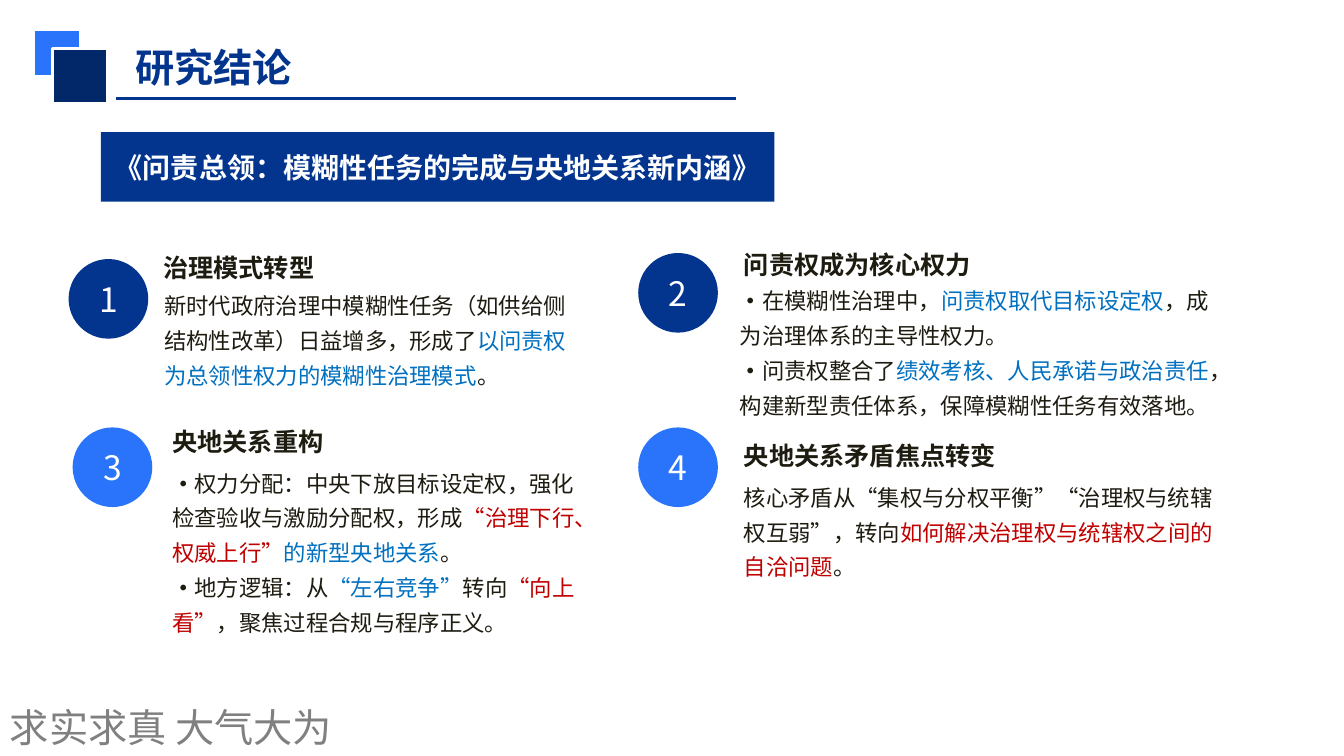
from lxml import etree
from pptx import Presentation
from pptx.dml.color import RGBColor
from pptx.enum import lang, shapes, text
from pptx.oxml import ns
from pptx.util import Inches, Pt

FONT = "Noto Sans CJK SC"
COLORS = {"navy": "03358E", "bright": "2974FA", "deep": "02286A", "white": "FFFFFF",
          "ink": "1E1C11", "blue": "0070C0", "red": "C00000", "gray": "808080"}

TITLE = "研究结论"
PAPER = "《问责总领：模糊性任务的完成与央地关系新内涵》"
MOTTO = "求实求真 大气大为"
# Each paragraph is a list of (text, color) parts
CONCLUSIONS = [
    {"heading": "治理模式转型", "color": "navy",
     "badge": (0.68, 2.57), "heading_at": (1.52, 2.35), "body_at": (1.53, 2.77, 4.36, 1.15),
     "body": [[("新时代政府治理中模糊性任务（如供给侧结构性改革）日益增多，形成了", "ink"),
               ("以问责权为总领性权力的模糊性治理模式", "blue"), ("。", "ink")]]},
    {"heading": "问责权成为核心权力", "color": "navy",
     "badge": (6.33, 2.51), "heading_at": (7.28, 2.32), "body_at": (7.24, 2.72, 4.92, 1.5),
     "body": [[("·", "ink"), ("在模糊性治理中，", "ink"), ("问责权取代目标设定权", "blue"),
               ("，成为治理体系的主导性权力。", "ink")],
              [("·", "ink"), ("问责权整合了", "ink"), ("绩效考核、人民承诺与政治责任", "blue"),
               ("，构建新型责任体系，保障模糊性任务有效落地。", "ink")]]},
    {"heading": "央地关系重构", "color": "bright",
     "badge": (0.72, 4.24), "heading_at": (1.61, 4.08), "body_at": (1.61, 4.53, 4.33, 1.85),
     "body": [[("·", "ink"), ("权力分配：中央下放目标设定权，强化检查验收与激励分配权，形成", "ink"),
               ("“治理下行、权威上行”", "red"), ("的新型央地关系", "blue"), ("。", "ink")],
              [("·", "ink"), ("地方逻辑：从", "ink"), ("“左右竞争”", "blue"), ("转向", "ink"),
               ("“向上看”", "red"), ("，聚焦过程合规与程序正义。", "ink")]]},
    {"heading": "央地关系矛盾焦点转变", "color": "bright",
     "badge": (6.33, 4.24), "heading_at": (7.28, 4.22), "body_at": (7.28, 4.67, 4.96, 1.15),
     "body": [[("核心矛盾从“集权与分权平衡”“治理权与统辖权互弱”，转向", "ink"),
               ("如何解决治理权与统辖权之间的自洽问题", "red"), ("。", "ink")]]},
]
BADGE_SIZE = 0.79
HEADING_SIZE = (3.24, 0.45)


def rgb(name):
    return RGBColor.from_string(COLORS[name])


def write(shape, paragraphs, size, bold=False, align="LEFT", spacing=1.0,
          insets=(0.1, 0.05), anchor="TOP", wrap=True):
    frame = shape.text_frame
    frame.word_wrap = wrap
    frame.auto_size = text.MSO_AUTO_SIZE.NONE
    frame.vertical_anchor = text.MSO_ANCHOR[anchor]
    frame.margin_left = frame.margin_right = Inches(insets[0])
    frame.margin_top = frame.margin_bottom = Inches(insets[1])
    for number, parts in enumerate(paragraphs):
        paragraph = frame.add_paragraph() if number else frame.paragraphs[0]
        paragraph.alignment = text.PP_ALIGN[align]
        paragraph.line_spacing = spacing
        font = paragraph.font
        font.size, font.bold, font.name = Pt(size), bold, FONT
        font.language_id = lang.MSO_LANGUAGE_ID.SIMPLIFIED_CHINESE
        east_asian = etree.SubElement(paragraph._p.pPr.find(ns.qn("a:defRPr")), ns.qn("a:ea"))
        east_asian.set("typeface", FONT)
        for words, color in parts:
            run = paragraph.add_run()
            run.text = words
            run.font.color.rgb = rgb(color)
            if words == "·":
                run.font.bold = True


def add_text(box, paragraphs, size, **style):
    write(slide.shapes.add_textbox(*map(Inches, box)), paragraphs, size, **style)


def add_block(kind, box, fill, outline=None):
    block = slide.shapes.add_shape(shapes.MSO_SHAPE[kind], *map(Inches, box))
    block.shadow.inherit = False
    block.fill.solid()
    block.fill.fore_color.rgb = rgb(fill)
    if outline:
        block.line.color.rgb = rgb(outline)
        block.line.width = Pt(2)
    else:
        block.line.fill.background()
    return block


deck = Presentation()
deck.slide_width, deck.slide_height = Inches(13.33), Inches(7.5)
slide = deck.slides.add_slide(deck.slide_layouts[5])

# Motto at the foot
add_text((0, 6.93, 3.94, 0.57), [[(MOTTO, "gray")]], 28)

# Title with its squares and rule
add_block("RECTANGLE", (0.33, 0.29, 0.47, 0.47), "bright", "white")
add_block("RECTANGLE", (0.52, 0.48, 0.55, 0.55), "deep", "white")
rule = slide.shapes.add_connector(shapes.MSO_CONNECTOR.STRAIGHT,
                                  *map(Inches, (1.15, 0.98, 7.3, 0.98)))
rule.line.color.rgb = rgb("navy")
rule.line.width = Pt(2.25)
etree.SubElement(rule._element.spPr, ns.qn("a:effectLst"))
title = slide.shapes.title
title.left, title.top, title.width, title.height = map(Inches, (1.27, 0.39, 1.71, 0.55))
write(title, [[(TITLE, "navy")]], 28, bold=True, insets=(0.07, 0.04), wrap=False)

# Paper banner
banner = add_block("RECTANGLE", (1, 1.31, 6.68, 0.69), "navy")
write(banner, [[(PAPER, "white")]], 20, bold=True, align="CENTER", anchor="MIDDLE")

# Numbered conclusions
for number, item in enumerate(CONCLUSIONS, 1):
    badge = add_block("OVAL", (*item["badge"], BADGE_SIZE, BADGE_SIZE), item["color"])
    write(badge, [[(str(number), "white")]], 24, align="CENTER", anchor="MIDDLE")
    add_text((*item["heading_at"], *HEADING_SIZE), [[(item["heading"], "ink")]], 18,
             bold=True, spacing=1.5, insets=(0.1, 0))
    add_text(item["body_at"], item["body"], 16, spacing=1.3)

deck.save("out.pptx")
